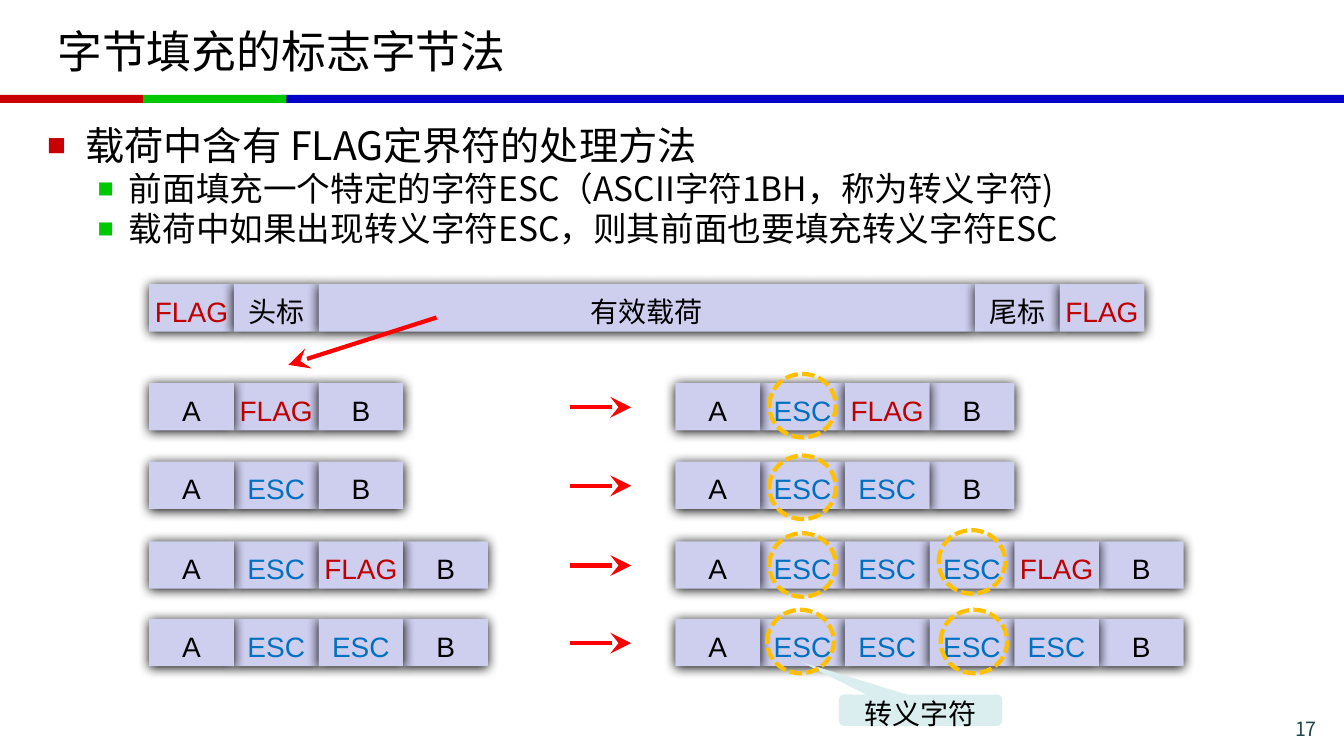
from lxml.etree import SubElement
from pptx import Presentation
from pptx.dml.color import RGBColor
from pptx.enum.dml import MSO_LINE
from pptx.enum.shapes import MSO_CONNECTOR, MSO_SHAPE
from pptx.enum.text import MSO_ANCHOR, PP_ALIGN
from pptx.oxml.ns import qn
from pptx.util import Inches, Pt

HEX = {
    "black": "000000", "red": "C80000", "green": "00C800", "blue": "0000C8",
    "flag": "C00000", "esc": "0070C0", "cell": "CECEEF", "arrow": "FF0000",
    "ring": "FFC000", "note": "DAEDEF", "page": "1E4649",
}
CJK = "Noto Sans CJK SC"
CELL_W, CELL_H = 0.84, 0.47
LEFT_X, RIGHT_X = 1.48, 6.7
INKS = {"FLAG": "flag", "ESC": "esc"}

# Top of each row, bytes before stuffing, bytes after stuffing
ROWS = [
    (3.8, "A FLAG B", "A ESC FLAG B"),
    (4.58, "A ESC B", "A ESC ESC B"),
    (5.37, "A ESC FLAG B", "A ESC ESC ESC FLAG B"),
    (6.14, "A ESC ESC B", "A ESC ESC ESC ESC B"),
]
RINGS = [(9.31, 5.26), (9.33, 6.05), (7.63, 3.71),
         (7.63, 4.52), (7.63, 5.29), (7.61, 6.05)]


def color(name):
    return RGBColor.from_string(HEX[name])


def write(frame, text, size=20, font="Arial", ink="black", align=PP_ALIGN.LEFT,
          space=1.0, bullet=None, indent=0, hang=0, first=True):
    """Put one formatted paragraph into a text frame."""
    para = frame.paragraphs[0] if first else frame.add_paragraph()
    para.alignment = align
    para.line_spacing = space
    if bullet:
        props = para._p.get_or_add_pPr()
        props.set("marL", str(Inches(indent)))
        props.set("indent", str(-Inches(hang)))
        tint = SubElement(props, qn("a:buClr"))
        SubElement(tint, qn("a:srgbClr"), val=HEX[bullet])
        SubElement(props, qn("a:buSzPct"), val="80000")
        SubElement(props, qn("a:buFont"), typeface="Arial")
        SubElement(props, qn("a:buChar"), char="■")
    run = para.add_run()
    run.text = text
    run.font.size = Pt(size)
    run.font.name = font
    run.font.color.rgb = color(ink)
    SubElement(run._r.get_or_add_rPr(), qn("a:ea"), typeface=CJK)


def text_box(slide, left, top, width, height, anchor=MSO_ANCHOR.TOP):
    box = slide.shapes.add_textbox(*map(Inches, (left, top, width, height)))
    frame = box.text_frame
    frame.word_wrap = True
    frame.vertical_anchor = anchor
    return frame


def block(shapes, left, top, width, height, fill=None, kind=MSO_SHAPE.RECTANGLE):
    shape = shapes.add_shape(kind, *map(Inches, (left, top, width, height)))
    shape.shadow.inherit = False
    shape.line.fill.background()
    if fill:
        shape.fill.solid()
        shape.fill.fore_color.rgb = color(fill)
    else:
        shape.fill.background()
    return shape


def label(shape, text, wrap=False):
    frame = shape.text_frame
    frame.margin_left = frame.margin_right = 0
    frame.margin_top = frame.margin_bottom = 0
    frame.vertical_anchor = MSO_ANCHOR.MIDDLE
    frame.word_wrap = wrap
    write(frame, text, ink=INKS.get(text, "black"), align=PP_ALIGN.CENTER, space=1.2)


def shade(shape):
    """Give a shape a soft dark shadow."""
    effects = shape._element.spPr.find(qn("a:effectLst"))
    outer = SubElement(effects, qn("a:outerShdw"), blurRad=str(Pt(8.5)),
                       dist=str(Pt(1)), dir="5400000", algn="t", rotWithShape="0")
    SubElement(outer, qn("a:srgbClr"), val=HEX["black"])


def frame_row(slide, left, top, names, widths=None, order=None):
    """Draw a row of touching cells, stacked in the given order."""
    widths = widths or [CELL_W] * len(names)
    shapes = slide.shapes.add_group_shape().shapes
    for i in order or range(len(names)):
        cell = block(shapes, left + sum(widths[:i]), top, widths[i], CELL_H, "cell")
        shade(cell)
        label(cell, names[i])


def byte_row(slide, left, top, names):
    last = len(names) - 1
    frame_row(slide, left, top, names, order=[1, last, 0, *range(2, last)])


def arrow(slide, x1, y1, x2, y2):
    line = slide.shapes.add_connector(
        MSO_CONNECTOR.STRAIGHT, *map(Inches, (x1, y1, x2, y2)))
    line.line.color.rgb = color("arrow")
    line.line.width = Pt(3)
    props = line._element.spPr
    SubElement(props.find(qn("a:ln")), qn("a:tailEnd"),
               type="stealth", w="lg", len="lg")
    SubElement(props, qn("a:effectLst"))


def ring(slide, left, top):
    shape = block(slide.shapes, left, top, 0.66, 0.63, kind=MSO_SHAPE.OVAL)
    shape.line.color.rgb = color("ring")
    shape.line.width = Pt(3)
    shape.line.dash_style = MSO_LINE.SQUARE_DOT


def main():
    deck = Presentation()
    deck.slide_width, deck.slide_height = Inches(13.33), Inches(7.5)
    slide = deck.slides.add_slide(deck.slide_layouts[6])

    # Rule under the title
    for left, width, fill in [(2.79, 10.54, "blue"), (0, 1.42, "red"),
                              (1.42, 1.42, "green")]:
        block(slide.shapes, left, 0.94, width, 0.08, fill)

    # Title, bullets and page number
    title = text_box(slide, 0.47, 0.08, 12.39, 0.84, MSO_ANCHOR.MIDDLE)
    write(title, "字节填充的标志字节法", size=32, font=CJK)
    body = text_box(slide, 0.37, 1.15, 12.6, 1.6)
    write(body, "载荷中含有 FLAG定界符的处理方法", size=28, font=CJK,
          bullet="red", indent=0.38, hang=0.38)
    for text in ["前面填充一个特定的字符ESC（ASCII字符1BH，称为转义字符)",
                 "载荷中如果出现转义字符ESC，则其前面也要填充转义字符ESC"]:
        write(body, text, size=24, font=CJK, bullet="green",
              indent=0.81, hang=0.31, first=False)
    page = text_box(slide, 11.86, 7.06, 1.3, 0.28)
    write(page, "17", size=14, font=CJK, ink="page", align=PP_ALIGN.RIGHT)

    # Whole frame
    frame_row(slide, LEFT_X, 2.82, ["FLAG", "头标", "有效载荷", "尾标", "FLAG"],
              widths=[CELL_W, CELL_W, 6.51, CELL_W, CELL_W])

    # Payload before and after stuffing
    for top, before, after in ROWS:
        byte_row(slide, LEFT_X, top, before.split())
        arrow(slide, 5.65, top + 0.24, 6.26, top + 0.24)
        byte_row(slide, RIGHT_X, top, after.split())
    arrow(slide, 4.33, 3.15, 2.86, 3.62)

    # Callout and rings around the added bytes
    note = block(slide.shapes, 8.32, 6.89, 1.62, 0.31, "note",
                 MSO_SHAPE.ROUNDED_RECTANGULAR_CALLOUT)
    for i, value in enumerate([-0.73, -1.54, 0.17]):
        note.adjustments[i] = value
    label(note, "转义字符", wrap=True)
    for left, top in RINGS:
        ring(slide, left, top)

    deck.save("out.pptx")


if __name__ == "__main__":
    main()
